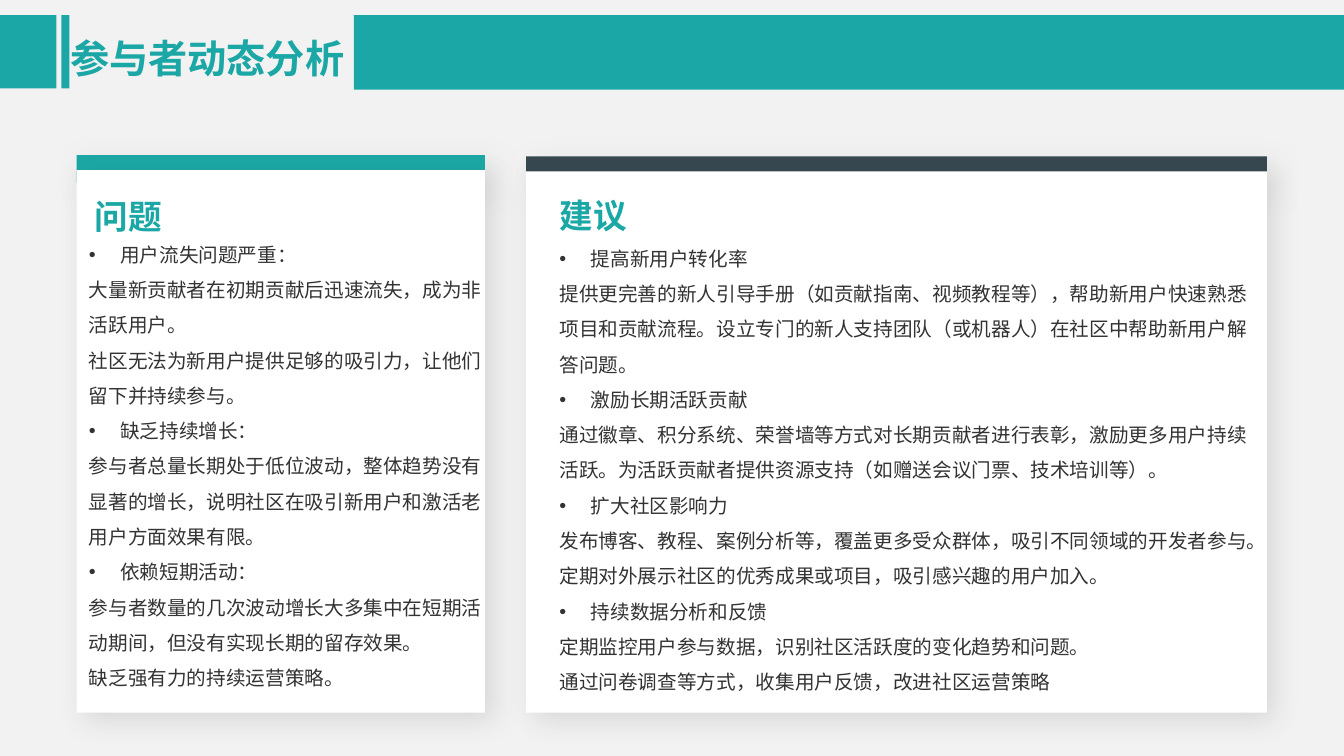
"""Build the slide on participant trends: problems and suggestions."""
from lxml import etree
from pptx import Presentation
from pptx.dml.color import RGBColor
from pptx.enum.shapes import MSO_SHAPE
from pptx.enum.text import MSO_ANCHOR, MSO_AUTO_SIZE, PP_ALIGN
from pptx.oxml.ns import qn
from pptx.util import Cm, Pt

RECT = MSO_SHAPE.RECTANGLE
TOP, MIDDLE, BOTTOM = MSO_ANCHOR.TOP, MSO_ANCHOR.MIDDLE, MSO_ANCHOR.BOTTOM
LEFT = PP_ALIGN.LEFT
GROW, FIXED = MSO_AUTO_SIZE.SHAPE_TO_FIT_TEXT, MSO_AUTO_SIZE.NONE

TEAL = RGBColor(0x1B, 0xA7, 0xA5)
SLATE = RGBColor(0x37, 0x48, 0x51)
INK = RGBColor(0x33, 0x33, 0x33)
WHITE = RGBColor(0xFF, 0xFF, 0xFF)
PALE = RGBColor(0xF2, 0xF2, 0xF2)
FONT = "Noto Sans CJK SC"
BULLET = "•"

TITLE = "参与者动态分析"
BANNER = [(0, 1.42, 1.85), (1.55, 0.2, 1.85), (8.92, 24.95, 1.88)]
BAND_SHADE = ("BFBFBF", 40)
CARD_SHADE = ("404040", 15)

CARDS = [
    {
        "head": "问题", "color": TEAL,
        "left": 1.93, "top": 3.91, "width": 10.29,
        "head_box": (2.39, 4.65, 8.38, 1.3),
        "text_box": (2.24, 5.82, 10.01, 11.89),
        "topics": [
            ("用户流失问题严重：", [
                "大量新贡献者在初期贡献后迅速流失，成为非活跃用户。",
                "社区无法为新用户提供足够的吸引力，让他们留下并持续参与。"]),
            ("缺乏持续增长：", [
                "参与者总量长期处于低位波动，整体趋势没有显著的增长，说明社区在吸引新用户和激活老用户方面效果有限。"]),
            ("依赖短期活动：", [
                "参与者数量的几次波动增长大多集中在短期活动期间，但没有实现长期的留存效果。",
                "缺乏强有力的持续运营策略。"]),
        ],
    },
    {
        "head": "建议", "color": SLATE,
        "left": 13.26, "top": 3.94, "width": 18.67,
        "head_box": (14.1, 4.62, 15.19, 1.3),
        "text_box": (14.1, 5.92, 17.5, 11.84),
        "topics": [
            ("提高新用户转化率", [
                "提供更完善的新人引导手册（如贡献指南、视频教程等），帮助新用户快速熟悉项目和贡献流程。设立专门的新人支持团队（或机器人）在社区中帮助新用户解答问题。"]),
            ("激励长期活跃贡献", [
                "通过徽章、积分系统、荣誉墙等方式对长期贡献者进行表彰，激励更多用户持续活跃。为活跃贡献者提供资源支持（如赠送会议门票、技术培训等）。"]),
            ("扩大社区影响力", [
                "发布博客、教程、案例分析等，覆盖更多受众群体，吸引不同领域的开发者参与。定期对外展示社区的优秀成果或项目，吸引感兴趣的用户加入。"]),
            ("持续数据分析和反馈", [
                "定期监控用户参与数据，识别社区活跃度的变化趋势和问题。",
                "通过问卷调查等方式，收集用户反馈，改进社区运营策略"]),
        ],
    },
]
BAND = 0.69
STEP = 0.38
BASE = 17.96


def place(shape, box):
    shape.left, shape.top, shape.width, shape.height = map(Cm, box)


def add_rect(slide, box, color, shade=None):
    shape = slide.shapes.add_shape(RECT, *map(Cm, box))
    shape.fill.solid()
    shape.fill.fore_color.rgb = color
    shape.line.fill.background()
    shape.shadow.inherit = False
    if shade:
        tone, alpha = shade
        effects = shape._element.spPr.find(qn("a:effectLst"))
        outer = etree.SubElement(
            effects, qn("a:outerShdw"), blurRad=str(Pt(20)), dist=str(Pt(8)),
            dir=str(45 * 60000), algn="tl", rotWithShape="0")
        hue = etree.SubElement(outer, qn("a:srgbClr"), val=tone)
        etree.SubElement(hue, qn("a:alpha"), val=str(alpha * 1000))


def add_bullet(para):
    props = para._p.get_or_add_pPr()
    props.set("marL", str(Cm(0.79)))
    props.set("indent", str(Cm(-0.79)))
    etree.SubElement(props, qn("a:buFont"), typeface="Arial")
    etree.SubElement(props, qn("a:buChar"), char=BULLET)


def write(shape, lines, size, color, bold=False, anchor=TOP, inset=0,
          wrap=True, fit=FIXED, space=1.0):
    frame = shape.text_frame
    frame.auto_size, frame.word_wrap = fit, wrap
    frame.vertical_anchor = anchor
    frame.margin_left = frame.margin_right = Cm(inset)
    frame.margin_top = frame.margin_bottom = Cm(inset / 2)
    for i, (text, dot) in enumerate(lines):
        para = frame.add_paragraph() if i else frame.paragraphs[0]
        if dot:
            add_bullet(para)
        para.alignment, para.line_spacing = LEFT, space
        run = para.add_run()
        run.text = text
        font = run.font
        font.name, font.size, font.bold = FONT, Pt(size), bold
        font.color.rgb = color
        etree.SubElement(run._r.get_or_add_rPr(), qn("a:ea"), typeface=FONT)


def add_card(slide, card):
    left, top, width = card["left"], card["top"], card["width"]
    body = top + STEP
    add_rect(slide, (left, top, width, BAND), card["color"], BAND_SHADE)
    add_rect(slide, (left, body, width, BASE - body), WHITE, CARD_SHADE)
    lines = []
    for topic, notes in card["topics"]:
        lines.append((topic, True))
        lines += [(note, False) for note in notes]
    text = slide.shapes.add_textbox(*map(Cm, card["text_box"]))
    write(text, lines, 14, INK, space=1.5)
    head = slide.shapes.add_textbox(*map(Cm, card["head_box"]))
    write(head, [(card["head"], False)], 24, TEAL, bold=True, anchor=BOTTOM)


def main():
    deck = Presentation()
    deck.slide_width, deck.slide_height = Cm(33.87), Cm(19.05)
    slide = deck.slides.add_slide(deck.slide_layouts[5])
    slide.background.fill.solid()
    slide.background.fill.fore_color.rgb = PALE
    for left, width, height in BANNER:
        add_rect(slide, (left, 0.38, width, height), TEAL)
    for card in CARDS:
        add_card(slide, card)
    title = slide.shapes.title
    place(title, (1.52, 0.51, 7.44, 1.68))
    write(title, [(TITLE, False)], 28, TEAL, bold=True, anchor=MIDDLE,
          inset=0.25, wrap=False, fit=GROW, space=1.2)
    deck.save("out.pptx")


if __name__ == "__main__":
    main()
